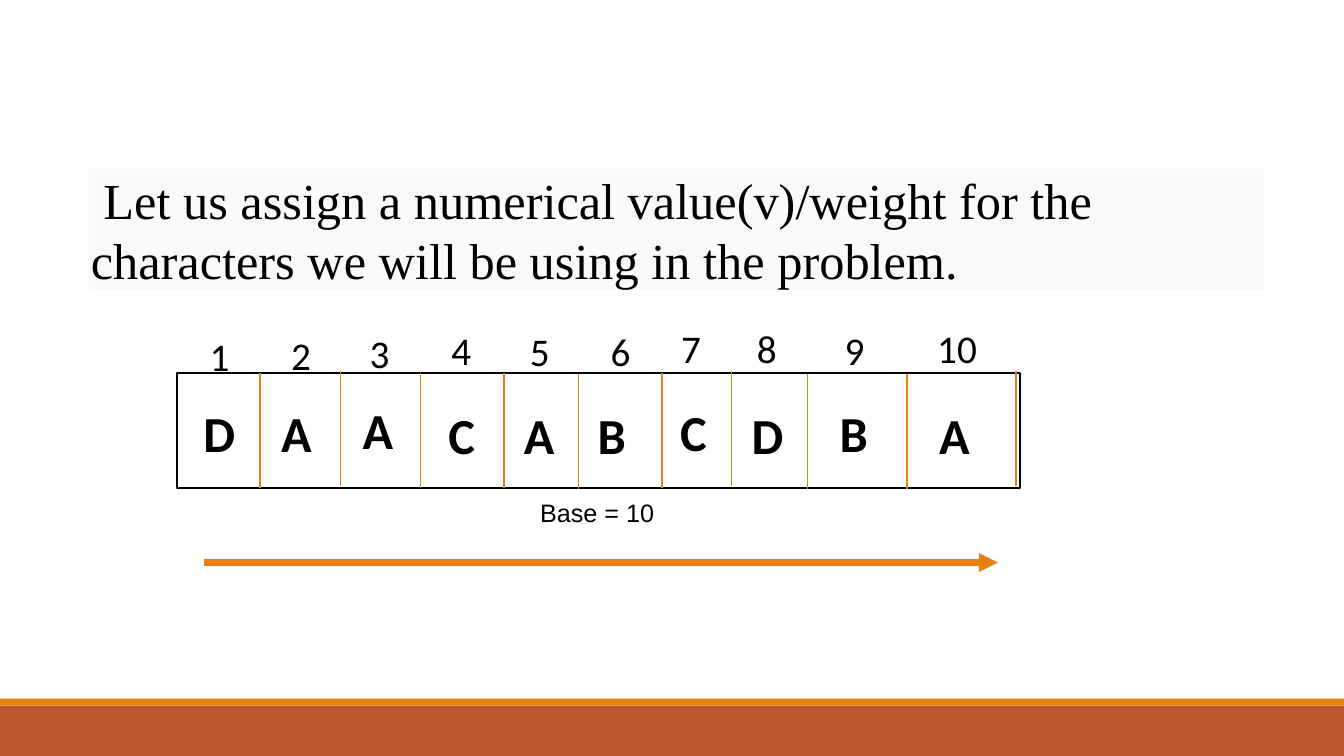
from lxml import etree
from pptx import Presentation
from pptx.dml.color import RGBColor
from pptx.enum.shapes import MSO_CONNECTOR, MSO_SHAPE
from pptx.enum.text import MSO_ANCHOR, PP_ALIGN
from pptx.oxml.ns import qn
from pptx.util import Pt

RECT = MSO_SHAPE.RECTANGLE
STRAIGHT = MSO_CONNECTOR.STRAIGHT
MIDDLE = MSO_ANCHOR.MIDDLE
LEFT = PP_ALIGN.LEFT

COLORS = {"text": "000000", "accent": "E48312", "footer": "BD582C", "panel": "F9FAFC"}
SLIDE_W, SLIDE_H = 960, 540
STATEMENT = (" Let us assign a\u00a0numerical value(v)/weight\u00a0for the "
             "characters we will be using in the problem.")
BASE = "Base = 10"
# letter, its left and top, left and top of its index, x and top of the divider after it
CELLS = [
    ("D", 138.2, 283.7, 142.6, 234.0, 185.8, 266.4),
    ("A", 193.7, 283.7, 200.9, 233.3, 243.4, 265.0),
    ("A", 252.0, 281.5, 257.0, 231.8, 300.2, 266.4),
    ("C", 313.2, 285.1, 315.4, 229.7, 360.0, 266.4),
    ("A", 367.2, 285.1, 371.5, 230.4, 413.3, 267.1),
    ("B", 419.8, 285.1, 429.1, 230.4, 473.0, 266.4),
    ("C", 478.8, 283.0, 479.5, 228.2, 522.7, 265.0),
    ("D", 529.9, 285.1, 533.5, 228.2, 576.7, 267.1),
    ("B", 592.6, 283.7, 596.2, 229.7, 648.0, 267.1),
    ("A", 663.8, 285.1, 662.4, 228.2, 725.8, 265.0),
]
CELL_H = 82


def rgb(name):
    return RGBColor.from_string(COLORS[name])


def add_rect(box, fill=None, line=None):
    s = shapes.add_shape(RECT, *map(Pt, box))
    s.shadow.inherit = False
    if fill:
        s.fill.solid()
        s.fill.fore_color.rgb = rgb(fill)
    else:
        s.fill.background()
    if line:
        s.line.color.rgb = rgb(line)
        s.line.width = Pt(1.25)
    else:
        s.line.fill.background()
    return s


def set_text(s, text, font, size, bold=False):
    tf = s.text_frame
    tf.word_wrap = True
    tf.text = text
    p = tf.paragraphs[0]
    p.alignment = LEFT
    r = p.runs[0]
    r.font.name, r.font.size, r.font.bold = font, Pt(size), bold
    r.font.color.rgb = rgb("text")


def add_label(box, *style):
    set_text(shapes.add_textbox(*map(Pt, box)), *style)


def add_line(x1, y1, x2, y2, width):
    s = shapes.add_connector(STRAIGHT, Pt(x1), Pt(y1), Pt(x2), Pt(y2))
    s.line.color.rgb = rgb("accent")
    s.line.width = Pt(width)
    etree.SubElement(s._element.spPr, qn("a:effectLst"))
    return s


prs = Presentation()
prs.slide_width, prs.slide_height = Pt(SLIDE_W), Pt(SLIDE_H)
shapes = prs.slides.add_slide(prs.slide_layouts[6]).shapes

add_rect((0, 504, SLIDE_W, 36), "footer")
add_rect((0, 499, SLIDE_W, 5), "accent")

statement = add_rect((63.4, 120.2, 839.5, 87.1), "panel")
set_text(statement, STATEMENT, "Times New Roman", 36)
tf = statement.text_frame
tf.vertical_anchor = MIDDLE
tf.margin_left = tf.margin_right = Pt(1.5)
tf.margin_top = tf.margin_bottom = 0

add_rect((126.7, 266.4, 601.9, CELL_H), line="text")
for number, (letter, x, y, index_x, index_y, divider_x, divider_y) in enumerate(CELLS, 1):
    add_line(divider_x, divider_y, divider_x, divider_y + CELL_H, 1)
    add_label((x, y, 36, 51), letter, "Calibri", 36, True)
    add_label((index_x, index_y, 47.5, 41), str(number), "Calibri", 28)

add_label((378.7, 351.4, 249.8, 29), BASE, "Arial", 18)
arrow = add_line(145.4, 401.8, 712.8, 401.8, 4.5)
etree.SubElement(arrow.line._get_or_add_ln(), qn("a:tailEnd"), type="triangle")

prs.save("out.pptx")
